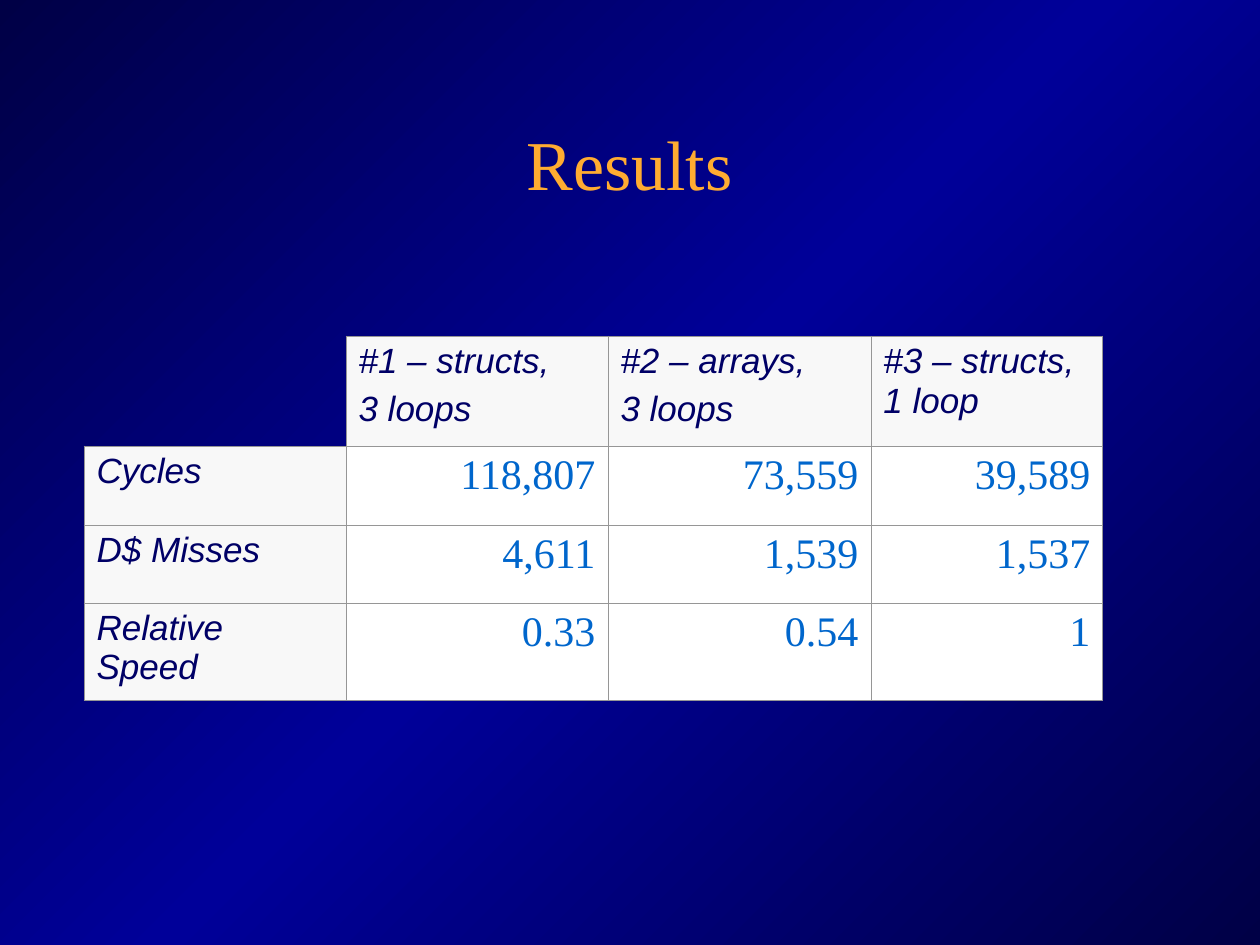
from copy import deepcopy
from dataclasses import dataclass

from lxml import etree
from pptx import Presentation
from pptx import util as u
from pptx.dml.color import RGBColor
from pptx.enum import text
from pptx.oxml.ns import qn

PX = 914400 / 126  # EMU in one px

NIGHT = RGBColor(0x00, 0x00, 0x46)
ROYAL = RGBColor(0x00, 0x00, 0x99)
ORANGE = RGBColor(0xFF, 0xAC, 0x31)
NAVY = RGBColor(0x00, 0x00, 0x66)
BLUE = RGBColor(0x00, 0x66, 0xCC)
PALE = RGBColor(0xF8, 0xF8, 0xF8)
WHITE = RGBColor(0xFF, 0xFF, 0xFF)
GREY = RGBColor(0x96, 0x96, 0x96)

BORDER_WIDTH = u.Pt(0.45)
SIDES = ("L", "R", "T", "B")
COLUMN_WIDTHS = (262, 262, 263, 232)
ROW_HEIGHTS = (110, 79, 78, 97)
RESULTS = (
    ("", "#1 – structs,\n3 loops", "#2 – arrays,\n3 loops", "#3 – structs, 1 loop"),
    ("Cycles", "118,807", "73,559", "39,589"),
    ("D$ Misses", "4,611", "1,539", "1,537"),
    ("Relative Speed", "0.33", "0.54", "1"),
)


@dataclass(frozen=True)
class TextStyle:
    font: str
    size: int
    color: RGBColor
    align: text.PP_ALIGN
    italic: bool = False
    space_before: int = 0


TITLE = TextStyle("Times New Roman", 40, ORANGE, text.PP_ALIGN.CENTER)
LABEL = TextStyle("Arial", 20, NAVY, text.PP_ALIGN.LEFT, italic=True, space_before=5)
VALUE = TextStyle("Times New Roman", 24, BLUE, text.PP_ALIGN.RIGHT)


def px(length: int) -> u.Emu:
    return u.Emu(round(length * PX))


def write(frame, words: str, style: TextStyle) -> None:
    """Fill a text frame, one paragraph for each line of words."""
    for index, line in enumerate(words.split("\n")):
        para = frame.add_paragraph() if index else frame.paragraphs[0]
        para.alignment = style.align
        para.space_before = u.Pt(style.space_before if index else 0)
        span = para.add_run()
        span.text = line
        span.font.name = style.font
        span.font.size = u.Pt(style.size)
        span.font.italic = style.italic
        span.font.bold = False
        span.font.color.rgb = style.color


def set_borders(cell, drawn: tuple[str, ...]) -> None:
    """Rule the drawn sides of a cell and clear the others."""
    properties = cell._tc.get_or_add_tcPr()
    for side in SIDES:
        line = etree.SubElement(properties, qn(f"a:ln{side}"), w=str(BORDER_WIDTH))
        if side in drawn:
            fill = etree.SubElement(line, qn("a:solidFill"))
            etree.SubElement(fill, qn("a:srgbClr"), val=str(GREY))
        else:
            etree.SubElement(line, qn("a:noFill"))


def paint_background(slide) -> None:
    fill = slide.background.fill
    fill.gradient()
    fill.gradient_angle = 135
    first = fill.gradient_stops[0]._gs
    first.addnext(deepcopy(first))
    for stop, color, position in zip(
        fill.gradient_stops, (NIGHT, ROYAL, NIGHT), (0, 0.5, 1)
    ):
        stop.color.rgb = color
        stop.position = position


def add_title(slide) -> None:
    title = slide.shapes.title
    title.left, title.top, title.width, title.height = map(px, (94, 84, 1071, 158))
    title.text_frame.vertical_anchor = text.MSO_ANCHOR.MIDDLE
    write(title.text_frame, "Results", TITLE)


def add_results(slide) -> None:
    frame = slide.shapes.add_table(
        len(ROW_HEIGHTS), len(COLUMN_WIDTHS), px(84), px(336),
        px(sum(COLUMN_WIDTHS)), px(sum(ROW_HEIGHTS)),
    )
    table = frame.table
    table.first_row = table.horz_banding = False
    for column, width in zip(table.columns, COLUMN_WIDTHS):
        column.width = px(width)
    for row, height in zip(table.rows, ROW_HEIGHTS):
        row.height = px(height)
    for r, row in enumerate(RESULTS):
        for c, words in enumerate(row):
            cell = table.cell(r, c)
            set_borders(cell, SIDES if words else ("R", "B"))
            if not words:
                cell.fill.background()
                continue
            is_label = r == 0 or c == 0
            cell.fill.solid()
            cell.fill.fore_color.rgb = PALE if is_label else WHITE
            write(cell.text_frame, words, LABEL if is_label else VALUE)


def main() -> None:
    deck = Presentation()
    deck.slide_width, deck.slide_height = px(1260), px(945)
    slide = deck.slides.add_slide(deck.slide_layouts[5])
    paint_background(slide)
    add_title(slide)
    add_results(slide)
    deck.save("out.pptx")


if __name__ == "__main__":
    main()
